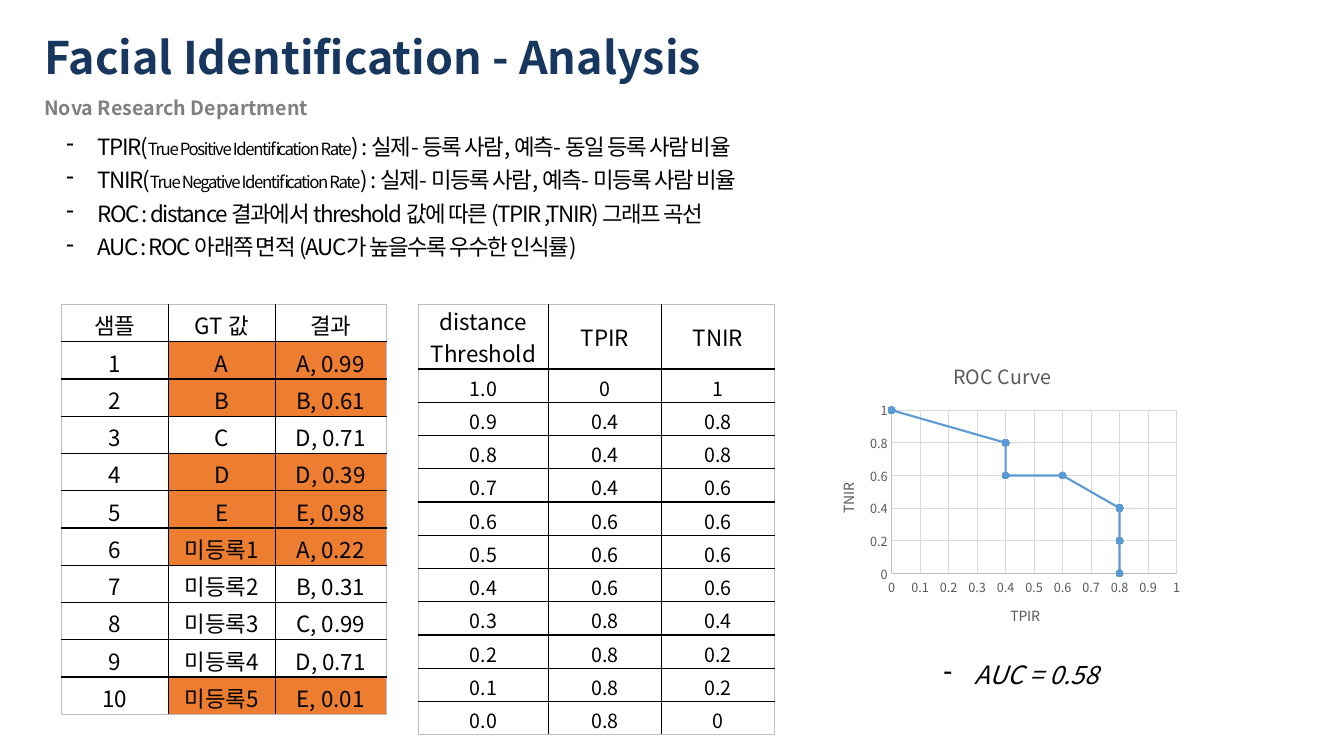
"""Build the facial identification analysis slide."""
from dataclasses import dataclass

from lxml import etree
from pptx import Presentation
from pptx import util as u
from pptx.chart.data import XyChartData
from pptx.dml.color import RGBColor
from pptx.enum import chart as charts, text
from pptx.oxml.ns import qn

FONT = "Noto Sans CJK KR"
BLACK, NAVY, GRAY = "000000", "17375E", "808080"
ORANGE, BLUE, LABEL = "ED7D31", "5B9BD5", "595959"
GRID, AXIS, FRAME = "D9D9D9", "BFBFBF", "BFBFBF"


@dataclass(frozen=True)
class Line:
    spans: tuple[tuple[str, float], ...]
    color: str = BLACK
    bold: bool = False
    italic: bool = False
    dashed: bool = False
    spacing: int = 0


@dataclass(frozen=True)
class TextBox:
    left: float
    top: float
    width: float
    height: float
    lines: tuple[Line, ...]
    inset: float = 0.05
    anchor: text.MSO_ANCHOR = text.MSO_ANCHOR.TOP


@dataclass(frozen=True)
class Grid:
    left: float
    top: float
    columns: tuple[float, ...]
    header_height: float
    row_height: float
    rows: tuple[tuple[str, ...], ...]
    body_size: int
    header_inset: float = 0
    body_inset: float = 0.04
    marked: frozenset[int] = frozenset()


def rgb(color: str) -> RGBColor:
    """Turn a hex string into a colour."""
    return RGBColor.from_string(color)


def set_font(font, size: float, color: str) -> None:
    """Set the slide's face, a size and a colour."""
    font.name = FONT
    font.size = u.Pt(size)
    font.color.rgb = rgb(color)


def style_paragraph(para, size: float, color: str, spacing: int = 0) -> None:
    """Style a paragraph for Latin and Korean letters alike."""
    set_font(para.font, size, color)
    defaults = para._p.pPr.find(qn("a:defRPr"))
    defaults.find(qn("a:latin")).addnext(etree.Element(qn("a:ea"), typeface=FONT))
    if spacing:
        defaults.set("spc", str(spacing))


def add_dash(para) -> None:
    """Give a paragraph a dash bullet with a hanging indent."""
    properties = para._p.get_or_add_pPr()
    indent = u.Inches(0.31)
    properties.set("marL", str(indent))
    properties.set("indent", str(-indent))
    etree.SubElement(properties, qn("a:buChar"), char="-")
    para.line_spacing = 1.25


def add_text(page, item: TextBox) -> None:
    """Draw a text box."""
    box = page.shapes.add_textbox(*map(u.Inches, (item.left, item.top, item.width, item.height)))
    frame = box.text_frame
    frame.word_wrap = True
    frame.vertical_anchor = item.anchor
    frame.margin_top = frame.margin_bottom = u.Inches(item.inset)
    for index, line in enumerate(item.lines):
        para = frame.add_paragraph() if index else frame.paragraphs[0]
        if line.dashed:
            add_dash(para)
        base = line.spans[0][1]
        style_paragraph(para, base, line.color, line.spacing)
        para.font.bold, para.font.italic = line.bold, line.italic
        for words, size in line.spans:
            span = para.add_run()
            span.text = words
            if size != base:
                span.font.size = u.Pt(size)


def set_border(cell, side: str, color: str) -> None:
    """Draw one side of a cell."""
    border = etree.Element(qn(f"a:ln{side}"), w=str(u.Pt(1)))
    fill = etree.SubElement(border, qn("a:solidFill"))
    etree.SubElement(fill, qn("a:srgbClr"), val=color)
    cell._tc.get_or_add_tcPr().insert("LRTB".index(side), border)


def add_grid(page, grid: Grid) -> None:
    """Draw a bordered table."""
    last_row, last_column = len(grid.rows) - 1, len(grid.columns) - 1
    height = grid.header_height + last_row * grid.row_height
    size = map(u.Inches, (grid.left, grid.top, sum(grid.columns), height))
    table = page.shapes.add_table(last_row + 1, last_column + 1, *size).table
    table.first_row = table.horz_banding = False
    for column, width in zip(table.columns, grid.columns):
        column.width = u.Inches(width)
    for r, row in enumerate(grid.rows):
        table.rows[r].height = u.Inches(grid.row_height if r else grid.header_height)
        for c, words in enumerate(row):
            cell = table.cell(r, c)
            cell.text = words
            cell.vertical_anchor = text.MSO_ANCHOR.MIDDLE
            cell.margin_left = cell.margin_right = u.Inches(0.05)
            cell.margin_top = u.Inches(grid.body_inset if r else grid.header_inset)
            cell.margin_bottom = 0
            for para in cell.text_frame.paragraphs:
                para.alignment = text.PP_ALIGN.CENTER
                style_paragraph(para, grid.body_size if r else 16, BLACK)
            if r in grid.marked and c:
                cell.fill.solid()
                cell.fill.fore_color.rgb = rgb(ORANGE)
            else:
                cell.fill.background()
            outer = {"L": c == 0, "R": c == last_column, "T": r == 0, "B": r == last_row}
            for side, is_outer in outer.items():
                set_border(cell, side, FRAME if is_outer else BLACK)


def set_title(owner, words: str, size: float) -> None:
    """Title a chart or an axis."""
    owner.has_title = True
    frame = (owner.chart_title if hasattr(owner, "chart_title") else owner.axis_title).text_frame
    frame.text = words
    para = frame.paragraphs[0]
    set_font(para.font, size, LABEL)
    para.font.bold = False


def style_axis(axis, title: str, step: float) -> None:
    """Style an axis that runs from 0 to 1."""
    set_title(axis, title, 10)
    axis.minimum_scale, axis.maximum_scale, axis.major_unit = 0, 1, step
    axis.major_tick_mark = axis.minor_tick_mark = charts.XL_TICK_MARK.NONE
    axis.has_major_gridlines = True
    for line, color in ((axis.format.line, AXIS), (axis.major_gridlines.format.line, GRID)):
        line.color.rgb = rgb(color)
        line.width = u.Pt(0.75)
    set_font(axis.tick_labels.font, 9, LABEL)
    axis.tick_labels.number_format = "General"
    axis.tick_labels.number_format_is_linked = False


def place_plot(chart, **edges: float) -> None:
    """Fix the inner plot area as fractions of the chart."""
    area = chart._chartSpace.find(f".//{qn('c:plotArea')}")
    for old in area.findall(qn("c:layout")):
        area.remove(old)
    layout = etree.Element(qn("c:layout"))
    area.insert(0, layout)
    manual = etree.SubElement(layout, qn("c:manualLayout"))
    settings = {"layoutTarget": "inner", "xMode": "edge", "yMode": "edge", **edges}
    for name, value in settings.items():
        etree.SubElement(manual, qn(f"c:{name}"), val=str(value))


def add_roc(page, points: list[tuple[float, float]]) -> None:
    """Draw the ROC curve."""
    data = XyChartData()
    curve = data.add_series("Series 1")
    for x, y in points:
        curve.add_data_point(x, y)
    place = map(u.Inches, (8.11, 3.41, 3.67, 3))
    chart = page.shapes.add_chart(charts.XL_CHART_TYPE.XY_SCATTER_LINES, *place, data).chart
    set_font(chart.font, 10, BLACK)
    chart.has_legend = False
    set_title(chart, "ROC Curve", 14)
    chart.chart_title.include_in_layout = False
    style_axis(chart.category_axis, "TPIR", 0.1)
    style_axis(chart.value_axis, "TNIR", 0.2)
    place_plot(chart, x=0.2, y=0.22, w=0.77, h=0.54)
    plot = chart.plots[0]
    plot.vary_by_categories = False
    series = plot.series[0]
    series.smooth = False
    series.format.line.color.rgb = rgb(BLUE)
    series.format.line.width = u.Pt(1.5)
    marker = series.marker
    marker.style, marker.size = charts.XL_MARKER_STYLE.CIRCLE, 5
    marker.format.fill.solid()
    marker.format.fill.fore_color.rgb = rgb(BLUE)
    marker.format.line.color.rgb = rgb(BLUE)


DEFINITIONS = (
    (("TPIR(", 16), ("True Positive Identification Rate", 12),
     (") : 실제- 등록 사람, 예측- 동일 등록 사람 비율", 16)),
    (("TNIR(", 16), ("True Negative Identification Rate", 12),
     (") : 실제- 미등록 사람, 예측- 미등록 사람 비율", 16)),
    (("ROC : distance 결과에서 threshold 값에 따른 (TPIR ,TNIR) 그래프 곡선", 16),),
    (("AUC : ROC 아래쪽 면적 (AUC가 높을수록 우수한 인식률)", 16),),
)
MIDDLE = text.MSO_ANCHOR.MIDDLE
TEXTS = (
    TextBox(0.34, 0.24, 7.95, 0.64,
            (Line((("Facial Identification - Analysis", 32),), NAVY, bold=True),), 0, MIDDLE),
    TextBox(0.34, 0.9, 6.03, 0.34,
            (Line((("Nova Research Department", 14),), GRAY, bold=True),), 0, MIDDLE),
    TextBox(0.56, 1.2, 8.74, 1.72,
            tuple(Line(spans, dashed=True, spacing=-100) for spans in DEFINITIONS)),
    TextBox(9.26, 6.42, 2.09, 0.51, (Line((("AUC = 0.58", 18),), italic=True, dashed=True),)),
)
TRUTHS = ("A", "B", "C", "D", "E", "미등록1", "미등록2", "미등록3", "미등록4", "미등록5")
RESULTS = ("A, 0.99", "B, 0.61", "D, 0.71", "D, 0.39", "E, 0.98",
           "A, 0.22", "B, 0.31", "C, 0.99", "D, 0.71", "E, 0.01")
SAMPLES = tuple((str(n), *pair) for n, pair in enumerate(zip(TRUTHS, RESULTS), 1))
TPIR = (0, 0.4, 0.4, 0.4, 0.6, 0.6, 0.6, 0.8, 0.8, 0.8, 0.8)
TNIR = (1, 0.8, 0.8, 0.6, 0.6, 0.6, 0.6, 0.4, 0.2, 0.2, 0)
RATES = tuple((f"{1 - n / 10:.1f}", str(x), str(y)) for n, (x, y) in enumerate(zip(TPIR, TNIR)))
GRIDS = (
    Grid(0.61, 3.02, (1.06, 1.06, 1.1), 0.37, 0.37, (("샘플", "GT 값", "결과"), *SAMPLES),
         16, header_inset=0.04, marked=frozenset({1, 2, 4, 5, 6, 10})),
    Grid(4.15, 3.02, (1.29, 1.12, 1.12), 0.64, 0.33,
         (("distance\nThreshold", "TPIR", "TNIR"), *RATES), 14),
)


def main() -> None:
    """Build and save the deck."""
    deck = Presentation()
    deck.slide_width, deck.slide_height = u.Inches(13.33), u.Inches(7.5)
    page = deck.slides.add_slide(deck.slide_layouts[6])
    for item in TEXTS:
        add_text(page, item)
    for grid in GRIDS:
        add_grid(page, grid)
    add_roc(page, list(zip(TPIR, TNIR)))
    deck.save("out.pptx")


if __name__ == "__main__":
    main()
